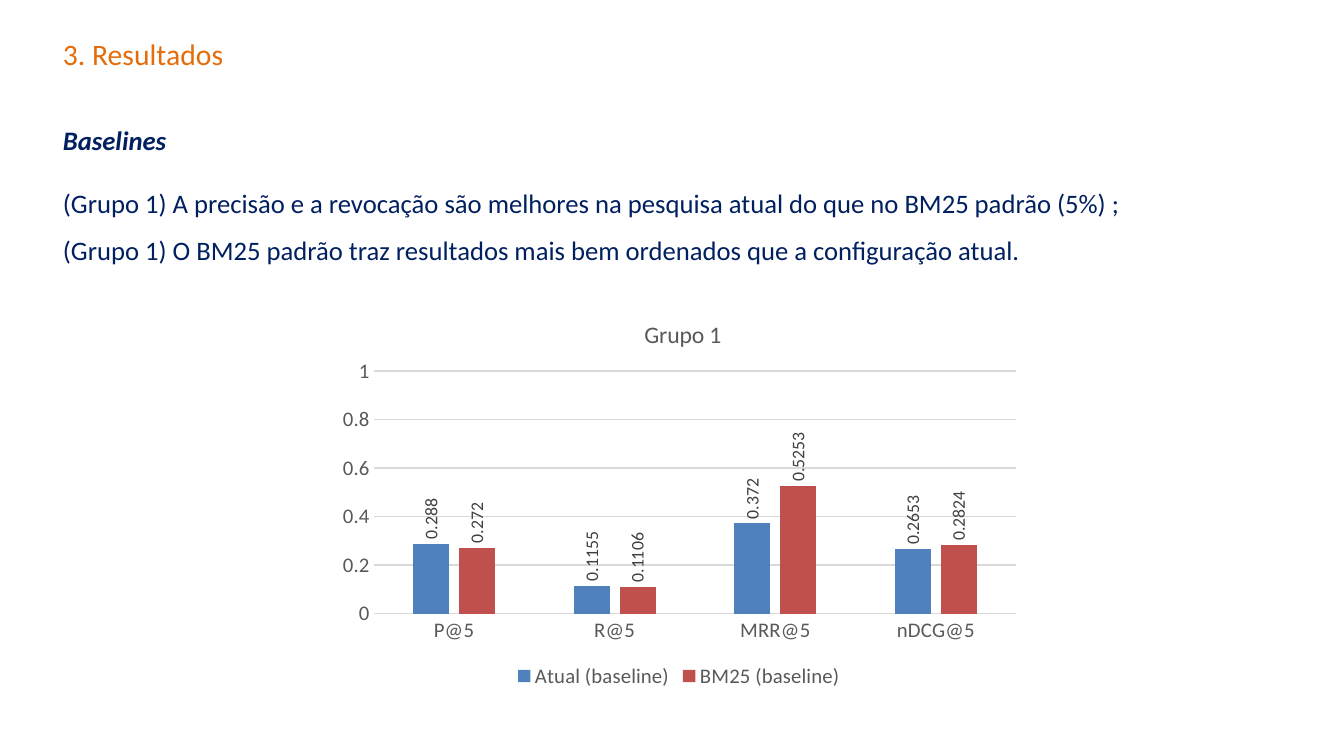
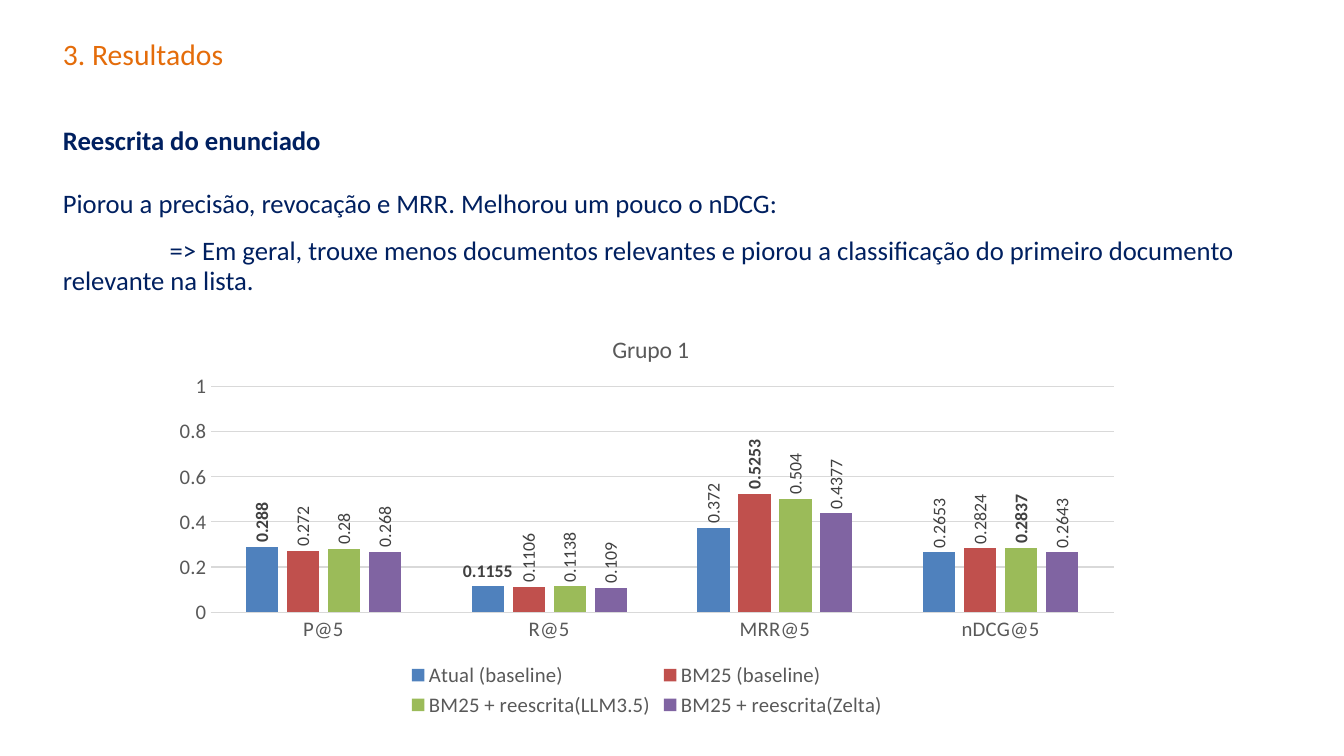
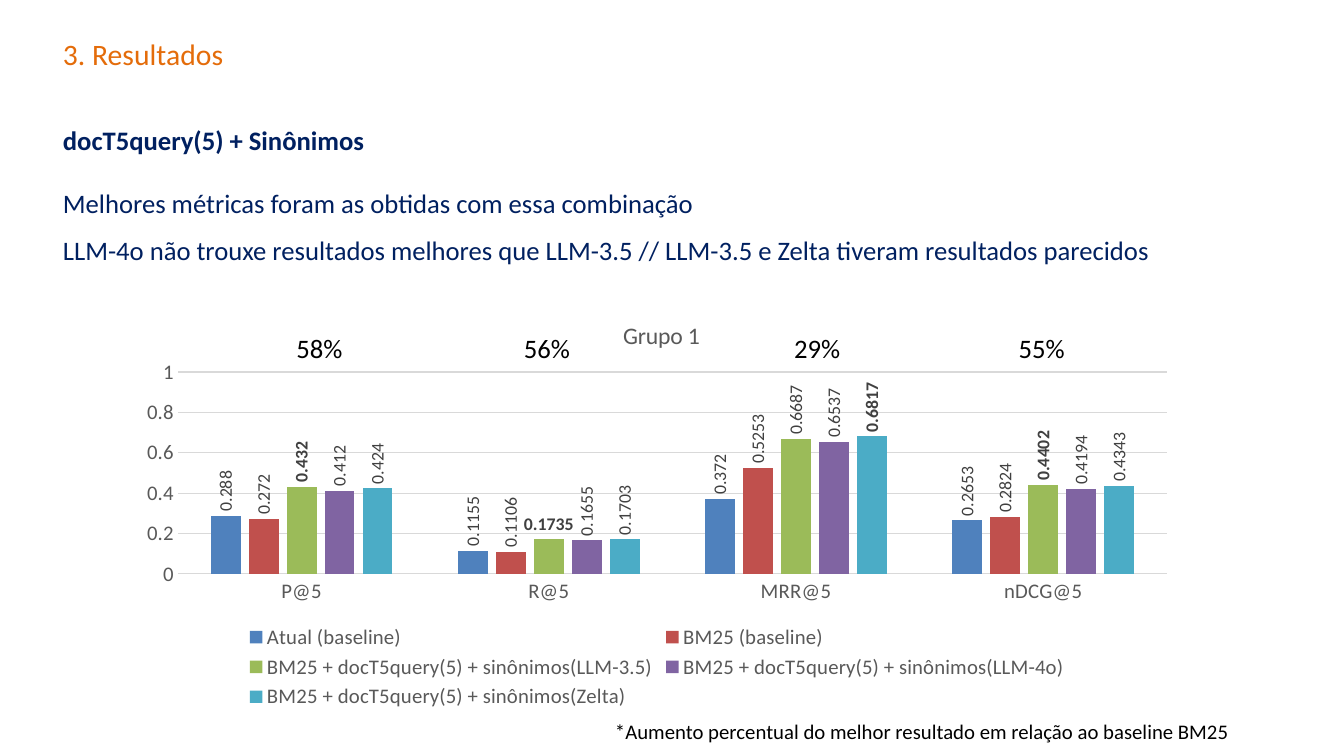
from pptx import Presentation
from pptx.chart.data import CategoryChartData
from pptx.dml.color import RGBColor
from pptx.enum.chart import XL_CHART_TYPE, XL_LABEL_POSITION, XL_LEGEND_POSITION, XL_TICK_MARK
from pptx.oxml import parse_xml
from pptx.oxml.ns import nsdecls, qn
from pptx.util import Pt

COLUMNS = XL_CHART_TYPE.COLUMN_CLUSTERED
OUTSIDE_END = XL_LABEL_POSITION.OUTSIDE_END
BOTTOM = XL_LEGEND_POSITION.BOTTOM
NO_TICKS = XL_TICK_MARK.NONE

FONT = "Calibri"
ORANGE, NAVY, BLACK = "E46C0A", "002060", "000000"
GREY, DARK_GREY, GRID_GREY = "595959", "404040", "D9D9D9"
SERIES_COLOURS = ["4F81BD", "C0504D", "9BBB59", "8064A2", "4BACC6"]

TITLE = {"size": Pt(20), "color": ORANGE}
HEADING = {"size": Pt(18), "color": NAVY, "bold": True}
BODY = {"size": Pt(18), "color": NAVY}
GAIN = {"size": Pt(18), "color": BLACK}
FOOTNOTE = {"size": Pt(14), "color": BLACK}
CHART_TITLE = {"size": Pt(16), "color": GREY, "bold": False}
CHART_TEXT = {"size": Pt(14), "color": GREY}
VALUE_LABEL = {"size": Pt(12), "color": DARK_GREY}
BEST_LABEL = {**VALUE_LABEL, "bold": True}

LEFT, WIDTH = 42.5, 822
UPRIGHT, FLAT = -90, 0
TITLE_HALF_WIDTH = 26
METRICS = ["P@5", "R@5", "MRR@5", "nDCG@5"]
CURRENT = ("Atual (baseline)", [0.288, 0.1155, 0.372, 0.2653])
STANDARD = ("BM25 (baseline)", [0.272, 0.1106, 0.5253, 0.2824])


def rgb(colour):
    """Turn a hex string into a colour."""
    return RGBColor.from_string(colour)


def style_font(font, style):
    """Apply a dict of format values to a font."""
    font.name = FONT
    for name, value in style.items():
        if name == "color":
            font.color.rgb = rgb(value)
        else:
            setattr(font, name, value)


def add_text(page, box_at, lines, style, inset=0, spacing=None, indents=()):
    """Add a text box with one paragraph per line."""
    box = page.shapes.add_textbox(*map(Pt, box_at))
    frame = box.text_frame
    frame.word_wrap = True
    if inset is not None:
        for side in ("left", "top", "right", "bottom"):
            setattr(frame, f"margin_{side}", Pt(inset))
    for index, line in enumerate(lines):
        para = frame.paragraphs[0] if index == 0 else frame.add_paragraph()
        for name, value in (spacing or {}).items():
            setattr(para, name, value)
        if index in indents:
            para._p.get_or_add_pPr().set("indent", str(Pt(72)))
        span = para.add_run()
        span.text = line
        style_font(span.font, style)
    return box


def add_page(deck, heading, lines, italic=False, indents=()):
    """Add a page with the shared title, a heading and body lines."""
    page = deck.slides.add_slide(deck.slide_layouts[6])
    spacing = {"line_spacing": Pt(20), "space_after": Pt(12)}
    add_text(page, (LEFT, 28, WIDTH, 28), ["3. Resultados"], TITLE, spacing=spacing)
    add_text(page, (LEFT, 85, WIDTH, 42.5), [heading], {**HEADING, "italic": italic}, spacing=spacing)
    add_text(page, (LEFT, 127.5, WIDTH, 326), lines, BODY, spacing=spacing, indents=indents)
    return page


def set_layout(element, position, target=None, **fractions):
    """Give a chart part a manual layout in fractions of the chart."""
    for old in element.findall(qn("c:layout")):
        element.remove(old)
    parts = [f'<c:layoutTarget val="{target}"/>'] if target else []
    parts += ['<c:xMode val="edge"/>', '<c:yMode val="edge"/>']
    parts += [f'<c:{name} val="{value:.3f}"/>' for name, value in fractions.items()]
    xml = f'<c:layout {nsdecls("c")}><c:manualLayout>{"".join(parts)}</c:manualLayout></c:layout>'
    element.insert(position, parse_xml(xml))


def style_axes(chart):
    """Format both axes and the gridlines."""
    for axis in (chart.category_axis, chart.value_axis):
        axis.major_tick_mark = axis.minor_tick_mark = NO_TICKS
        style_font(axis.tick_labels.font, CHART_TEXT)
    values = chart.value_axis
    for name, value in {"minimum_scale": 0, "maximum_scale": 1, "major_unit": 0.2}.items():
        setattr(values, name, value)
    values.format.line.fill.background()
    for line in (chart.category_axis.format.line, values.major_gridlines.format.line):
        line.color.rgb = rgb(GRID_GREY)
        line.width = Pt(0.75)


def style_series(series, colour, best):
    """Colour a series and label its values, the best ones in bold."""
    series.format.fill.solid()
    series.format.fill.fore_color.rgb = rgb(colour)
    series.invert_if_negative = False
    labels = series.data_labels
    labels.show_value = True
    labels.position = OUTSIDE_END
    style_font(labels.font, VALUE_LABEL)
    for index in best:
        label = series.points[index].data_label
        style_font(label.font, BEST_LABEL)
        label.position = OUTSIDE_END
    turns = [FLAT if METRICS[index] == "R@5" else UPRIGHT for index in best] + [UPRIGHT]
    for body, degrees in zip(labels._element.iter(qn("a:bodyPr")), turns):
        body.set("rot", str(degrees * 60000))
        body.set("vert", "horz")


def add_metrics_chart(page, chart_at, plot_at, rows, best=None):
    """Add a column chart of the metrics, one series per row."""
    data = CategoryChartData()
    data.categories = METRICS
    for name, values in rows:
        data.add_series(name, values)
    chart = page.shapes.add_chart(COLUMNS, *map(Pt, chart_at), data).chart
    style_font(chart.font, {"size": Pt(10), "color": BLACK})

    chart.has_title = True
    title = chart.chart_title
    span = title.text_frame.paragraphs[0].add_run()
    span.text = "Grupo 1"
    style_font(span.font, CHART_TITLE)
    title.include_in_layout = False
    set_layout(title._element, 1, x=0.5 - TITLE_HALF_WIDTH / chart_at[2], y=0.05)
    plot_area = chart._chartSpace.chart.plotArea
    set_layout(plot_area, 0, "inner", **dict(zip("xywh", plot_at)))

    chart.has_legend = True
    chart.legend.position = BOTTOM
    chart.legend.include_in_layout = False
    style_font(chart.legend.font, CHART_TEXT)

    plot = chart.plots[0]
    for name, value in {"gap_width": 219, "overlap": -27, "vary_by_categories": False}.items():
        setattr(plot, name, value)
    style_axes(chart)
    for index, series in enumerate(plot.series):
        style_series(series, SERIES_COLOURS[index], (best or {}).get(index, []))


def add_baselines(deck):
    """Add the page on the baselines."""
    page = add_page(deck, "Baselines", [
        "(Grupo 1) A precisão e a revocação são melhores na pesquisa atual do que no BM25 padrão (5%) ;",
        "(Grupo 1) O BM25 padrão traz resultados mais bem ordenados que a configuração atual.",
    ], italic=True)
    add_metrics_chart(page, (221, 198.5, 474.5, 269.5), (0.066, 0.193, 0.914, 0.608),
                      [CURRENT, STANDARD])


def add_rewriting(deck):
    """Add the page on rewriting the statement."""
    page = add_page(deck, "Reescrita do enunciado", [
        "Piorou a precisão, revocação e MRR. Melhorou um pouco o nDCG:",
        "=> Em geral, trouxe menos documentos relevantes e piorou a classificação do "
        "primeiro documento relevante na lista.",
    ], indents=[1])
    add_metrics_chart(page, (108, 208, 657.5, 279.5), (0.052, 0.19, 0.927, 0.545), [
        CURRENT,
        STANDARD,
        ("BM25 + reescrita(LLM3.5)", [0.28, 0.1138, 0.504, 0.2837]),
        ("BM25 + reescrita(Zelta)", [0.268, 0.109, 0.4377, 0.2643]),
    ], best={0: [0, 1], 1: [2], 2: [3]})


def add_synonyms(deck):
    """Add the page on query expansion with synonyms."""
    page = add_page(deck, "docT5query(5) + Sinônimos", [
        "Melhores métricas foram as obtidas com essa combinação",
        "LLM-4o não trouxe resultados melhores que LLM-3.5 // LLM-3.5 e Zelta tiveram resultados parecidos",
    ])
    method = "BM25 + docT5query(5) + sinônimos"
    add_metrics_chart(page, (85, 198.5, 717, 283.5), (0.049, 0.186, 0.931, 0.481), [
        CURRENT,
        STANDARD,
        (f"{method}(LLM-3.5)", [0.432, 0.1735, 0.6687, 0.4402]),
        (f"{method}(LLM-4o)", [0.412, 0.1655, 0.6537, 0.4194]),
        (f"{method}(Zelta)", [0.424, 0.1703, 0.6817, 0.4343]),
    ], best={2: [0, 1, 3], 4: [2]})
    for left, gain in [(193, "58%"), (346.5, "56%"), (529, "29%"), (680.5, "55%")]:
        box = add_text(page, (left, 220.5, 46, 29), [gain], GAIN, inset=None)
        box.text_frame.word_wrap = False
    add_text(page, (408, 482, 436.5, 24.5),
             ["*Aumento percentual do melhor resultado em relação ao baseline BM25"],
             FOOTNOTE, inset=None)


def main():
    """Build the deck and save it."""
    deck = Presentation()
    deck.slide_width, deck.slide_height = Pt(907.2), Pt(510.5)
    add_baselines(deck)
    add_rewriting(deck)
    add_synonyms(deck)
    deck.save("out.pptx")


if __name__ == "__main__":
    main()
